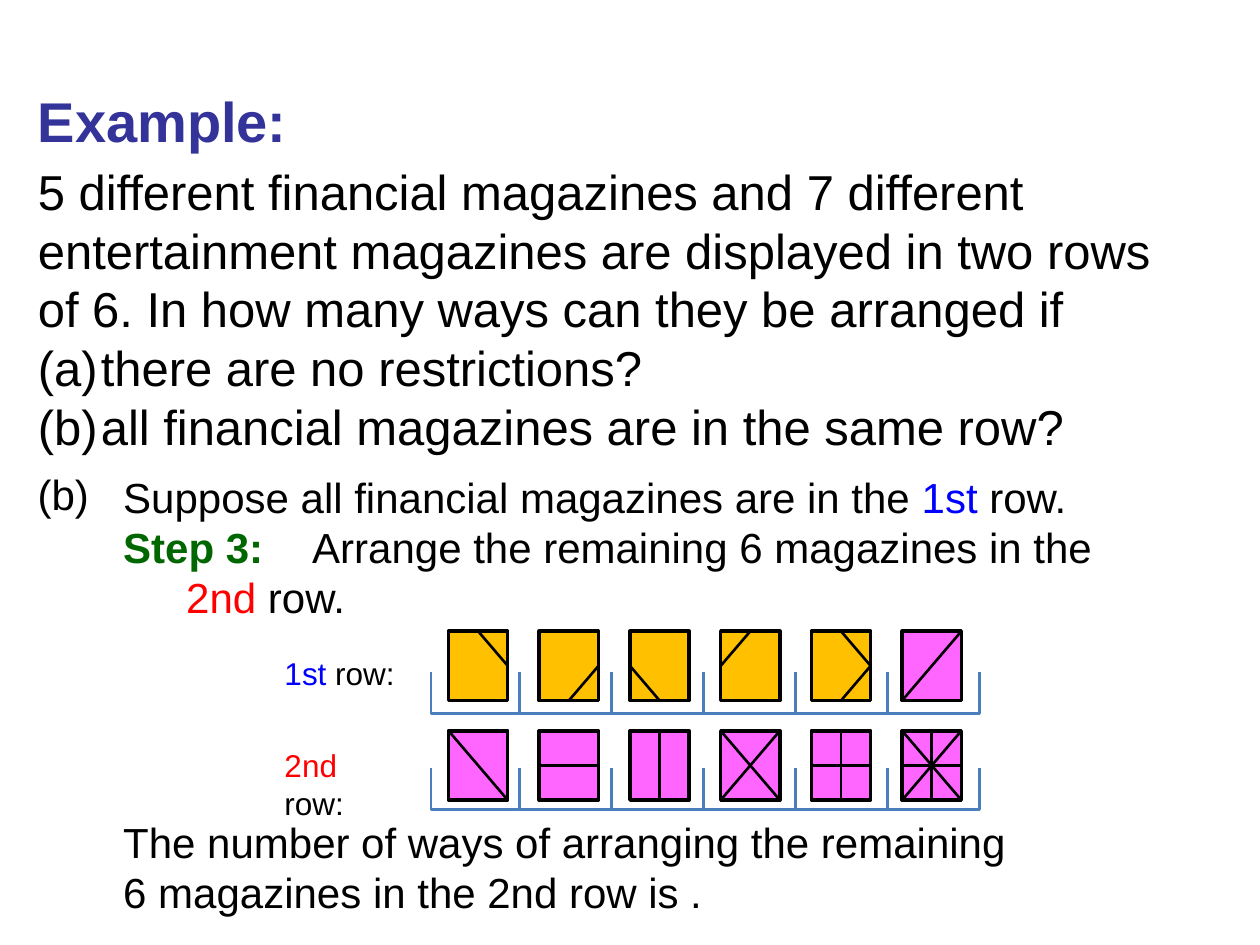
from lxml import etree
from pptx import Presentation
from pptx.dml.color import RGBColor
from pptx.enum.shapes import MSO_CONNECTOR, MSO_SHAPE
from pptx.enum.text import MSO_ANCHOR, MSO_AUTO_SIZE, PP_ALIGN
from pptx.oxml.ns import qn
from pptx.util import Inches, Pt

BRACKET, RECTANGLE = MSO_SHAPE.LEFT_BRACKET, MSO_SHAPE.RECTANGLE
STRAIGHT = MSO_CONNECTOR.STRAIGHT
TOP, LEFT, NO_FIT = MSO_ANCHOR.TOP, PP_ALIGN.LEFT, MSO_AUTO_SIZE.NONE

COLORS = {
    "black": "000000", "heading": "333399", "blue": "0000FF", "red": "FF0000",
    "green": "006600", "tray": "4B7EBC", "financial": "FFC000",
    "entertainment": "FF66FF",
}


def color(name):
    return RGBColor.from_string(COLORS[name])


def write_text(box, place, size, paragraphs, tab=None, wrap=True):
    """Place a box and fill it with paragraphs of (text, color, bold) spans."""
    box.left, box.top, box.width, box.height = [Inches(v) for v in place]
    frame = box.text_frame
    frame.word_wrap = wrap
    frame.auto_size = NO_FIT
    frame.vertical_anchor = TOP
    for number, spans in enumerate(paragraphs):
        para = frame.paragraphs[0] if number == 0 else frame.add_paragraph()
        para.alignment = LEFT
        properties = para._p.get_or_add_pPr()
        properties.set("marL", "0")
        properties.set("indent", "0")
        etree.SubElement(properties, qn("a:buNone"))
        if tab:
            stops = etree.SubElement(properties, qn("a:tabLst"))
            etree.SubElement(stops, qn("a:tab"), pos=str(Inches(tab)), algn="l")
        for text, shade, bold in spans:
            for index, line in enumerate(text.split("\n")):
                if index:
                    para.add_line_break()
                if line:
                    span = para.add_run()
                    span.text = line
                    span.font.name = "Arial"
                    span.font.size = Pt(size)
                    span.font.bold = bold
                    span.font.color.rgb = color(shade)


deck = Presentation()
deck.slide_width, deck.slide_height = Inches(10), Inches(7.5)
page = deck.slides.add_slide(deck.slide_layouts[1])
shapes = page.shapes

# Heading and question
write_text(shapes.title, (0.2, 0.64, 8.58, 0.63), 32,
           [[("Example:", "heading", True)]])
question = (
    "5 different financial magazines and 7 different entertainment magazines "
    "are displayed in two rows of 6. In how many ways can they be arranged if \n"
    "(a)\tthere are no restrictions?\n"
    "(b)\tall financial magazines are in the same row?"
)
write_text(page.placeholders[1], (0.2, 1.23, 9.14, 2.46), 28,
           [[(question, "black", False)]], tab=0.68)

# Solution and row labels
solution = [
    [("Suppose all financial magazines are in the ", "black", False),
     ("1st", "blue", False), (" row.", "black", False)],
    [("Step 3:", "green", True),
     ("\tArrange the remaining 6 magazines in the \n\t", "black", False),
     ("2nd", "red", False), (" row.", "black", False)],
]
answer = ("The number of ways of arranging the remaining \n"
          "6 magazines in the 2nd row is\t.")
texts = [
    ((0.2, 3.67, 0.61, 0.5), 24, [[("(b)", "black", False)]], None, False),
    ((0.88, 3.69, 8.77, 1.31), 24, solution, 1.28, True),
    ((2.16, 5.14, 1.33, 0.4), 18,
     [[("1st", "blue", False), (" row:", "black", False)]], None, True),
    ((2.16, 5.87, 1.1, 0.4), 18,
     [[("2nd", "red", False), (" row:", "black", False)]], None, True),
    ((0.88, 6.43, 8.77, 0.91), 24, [[(answer, "black", False)]], 4.87, True),
]
for place, size, paragraphs, tab, wrap in texts:
    box = shapes.add_textbox(0, 0, 0, 0)
    write_text(box, place, size, paragraphs, tab, wrap)

# Trays: brackets turned to open upwards, the first slightly narrower
TRAY_DEPTH = 0.33
for center_y in (5.5, 6.26):
    for slot in range(6):
        width = 0.7 if slot == 0 else 0.73
        center_x = 3.77 if slot == 0 else 4.49 + 0.73 * (slot - 1)
        tray = shapes.add_shape(
            BRACKET, Inches(center_x - TRAY_DEPTH / 2), Inches(center_y - width / 2),
            Inches(TRAY_DEPTH), Inches(width))
        tray.rotation = 270
        tray.adjustments[0] = 0
        tray.shadow.inherit = False
        tray.fill.background()
        tray.line.color.rgb = color("tray")
        tray.line.width = Pt(1.5)

# Marks on the covers, as fractions of cover width and height
across, upright = (0, 0.5, 1, 0.5), (0.5, 0, 0.5, 1)
falling, rising = (0, 0, 1, 1), (0, 1, 1, 0)
top_right, bottom_right = (1, 0.5, 0.5, 0), (1, 0.5, 0.5, 1)
bottom_left, top_left = (0.5, 1, 0, 0.5), (0.5, 0, 0, 0.5)
rows = [
    (5.01, 5, [[top_right], [bottom_right], [bottom_left], [top_left],
               [top_right, bottom_right], [rising]]),
    (5.8, 0, [[falling], [across], [upright], [falling, rising],
              [across, upright], [upright, across, falling, rising]]),
]

# Magazines
COVER_WIDTH, COVER_HEIGHT = 0.47, 0.55
for top, financial_count, covers in rows:
    for slot, marks in enumerate(covers):
        left = 3.56 + 0.72 * slot
        kind = "financial" if slot < financial_count else "entertainment"
        cover = shapes.add_shape(RECTANGLE, Inches(left), Inches(top),
                                 Inches(COVER_WIDTH), Inches(COVER_HEIGHT))
        cover.shadow.inherit = False
        cover.fill.solid()
        cover.fill.fore_color.rgb = color(kind)
        cover.line.color.rgb = color("black")
        cover.line.width = Pt(2)
        for x1, y1, x2, y2 in marks:
            mark = shapes.add_connector(
                STRAIGHT,
                Inches(left + x1 * COVER_WIDTH), Inches(top + y1 * COVER_HEIGHT),
                Inches(left + x2 * COVER_WIDTH), Inches(top + y2 * COVER_HEIGHT))
            mark.line.color.rgb = color("black")
            mark.line.width = Pt(1.5)
            etree.SubElement(mark._element.spPr, qn("a:effectLst"))

deck.save("out.pptx")
